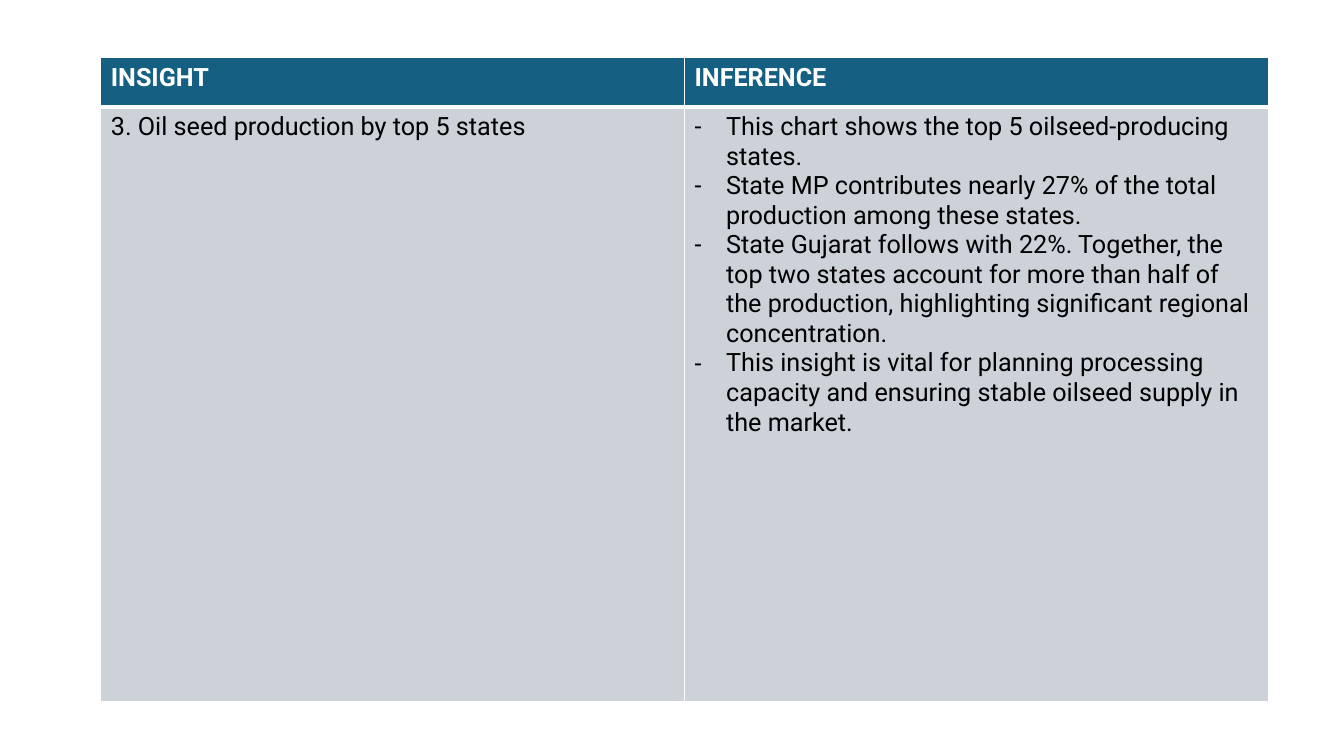
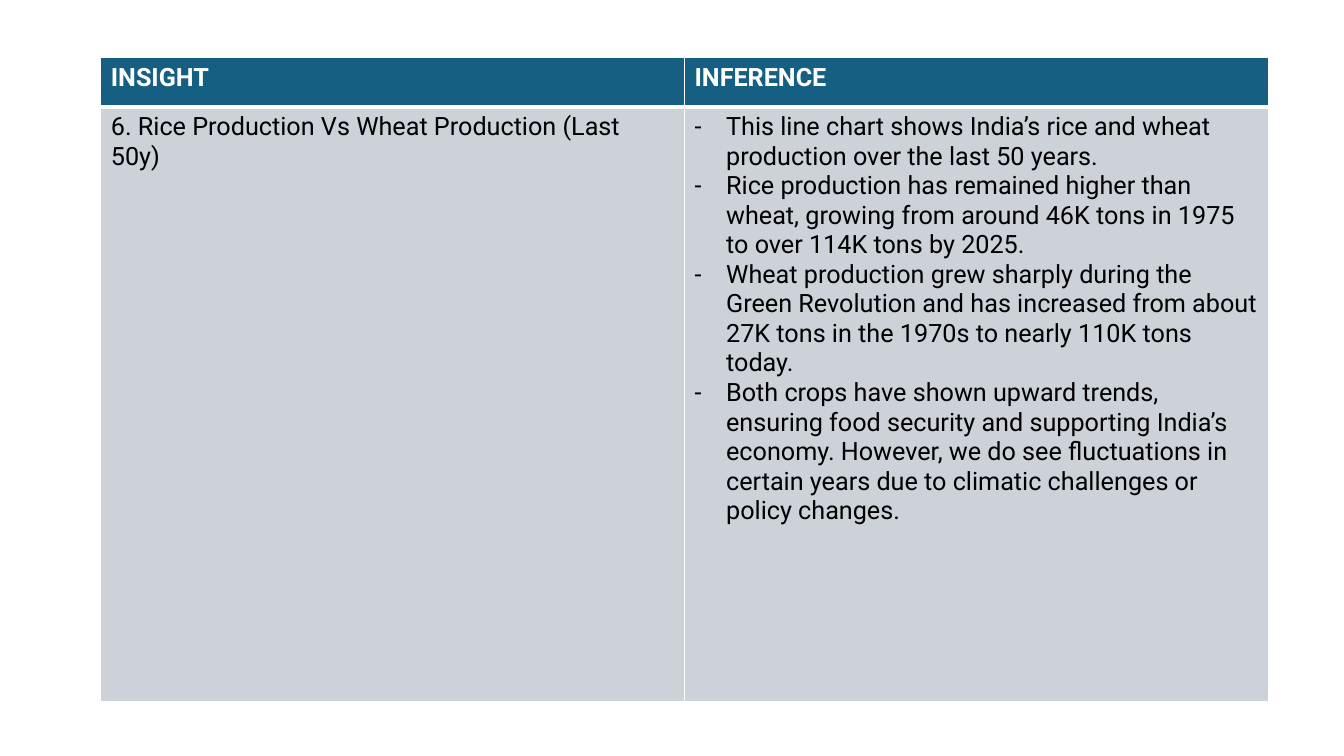
from lxml import etree
from pptx import Presentation
from pptx.dml.color import RGBColor
from pptx.oxml.ns import qn
from pptx.util import Pt

SCALE = 9525
BLANK = 6
HEADS = ("INSIGHT", "INFERENCE")
PAGES = (
    ("3. Oil seed production by top 5 states", (
        "This chart shows the top 5 oilseed-producing states.",
        "State MP contributes nearly 27% of the total production among these states.",
        "State Gujarat follows with 22%. Together, the top two states account for more than half of "
        "the production, highlighting significant regional concentration.",
        "This insight is vital for planning processing capacity and ensuring stable oilseed supply "
        "in the market.",
    )),
    ("6. Rice Production Vs Wheat Production (Last 50y)", (
        "This line chart shows India’s rice and wheat production over the last 50 years.",
        "Rice production has remained higher than wheat, growing from around 46K tons in 1975 to "
        "over 114K tons by 2025.",
        "Wheat production grew sharply during the Green Revolution and has increased from about 27K "
        "tons in the 1970s to nearly 110K tons today.",
        "Both crops have shown upward trends, ensuring food security and supporting India’s economy. "
        "However, we do see fluctuations in certain years due to climatic challenges or policy "
        "changes.",
    )),
)


def px(size):
    return size * SCALE


def tint(code):
    return RGBColor.from_string(code)


def write(frame, lines, font="Roboto", size=18, color="000000", bold=False, dash=False):
    for i, line in enumerate(lines):
        para = frame.paragraphs[0] if i == 0 else frame.add_paragraph()
        if dash:
            props = para._p.get_or_add_pPr()
            props.set("marL", str(px(30)))
            props.set("indent", str(px(-30)))
            etree.SubElement(props, qn("a:buFont"), typeface=font)
            etree.SubElement(props, qn("a:buChar"), char="-")
        run = para.add_run()
        run.text = line
        run.font.name = font
        run.font.size = Pt(size)
        run.font.bold = bold
        run.font.color.rgb = tint(color)


class Deck:
    head = "156082"
    body = "CCD2D8"
    rule = "FFFFFF"

    def __init__(self):
        self.file = Presentation()
        self.file.slide_width = px(1280)
        self.file.slide_height = px(720)
        self.slide = None

    def page(self):
        self.slide = self.file.slides.add_slide(self.file.slide_layouts[BLANK])

    def edge(self, cell, side, width):
        props = cell._tc.get_or_add_tcPr()
        line = etree.SubElement(props, qn("a:ln" + side), w=str(Pt(width)))
        fill = etree.SubElement(line, qn("a:solidFill"))
        etree.SubElement(fill, qn("a:srgbClr"), val=self.rule)

    def cell(self, cell, lines, fill, thick, **style):
        for side in "LRTB":
            self.edge(cell, side, 3 if side == thick else 1)
        cell.fill.solid()
        cell.fill.fore_color.rgb = tint(fill)
        write(cell.text_frame, lines, **style)

    def table(self, left, top, cols, rows, topic, notes):
        frame = self.slide.shapes.add_table(
            len(rows), len(cols), px(left), px(top), px(sum(cols)), px(sum(rows)))
        grid = frame.table
        for col, width in zip(grid.columns, cols):
            col.width = px(width)
        for row, height in zip(grid.rows, rows):
            row.height = px(height)
        for i, name in enumerate(HEADS):
            self.cell(grid.cell(0, i), [name], self.head, "B", color="FFFFFF", bold=True)
        self.cell(grid.cell(1, 0), [topic], self.body, "T")
        self.cell(grid.cell(1, 1), notes, self.body, "T", dash=True)


def main():
    deck = Deck()
    for topic, notes in PAGES:
        deck.page()
        deck.table(96, 55, (556, 556), (47, 566), topic, notes)
    deck.file.save("out.pptx")


if __name__ == "__main__":
    main()
